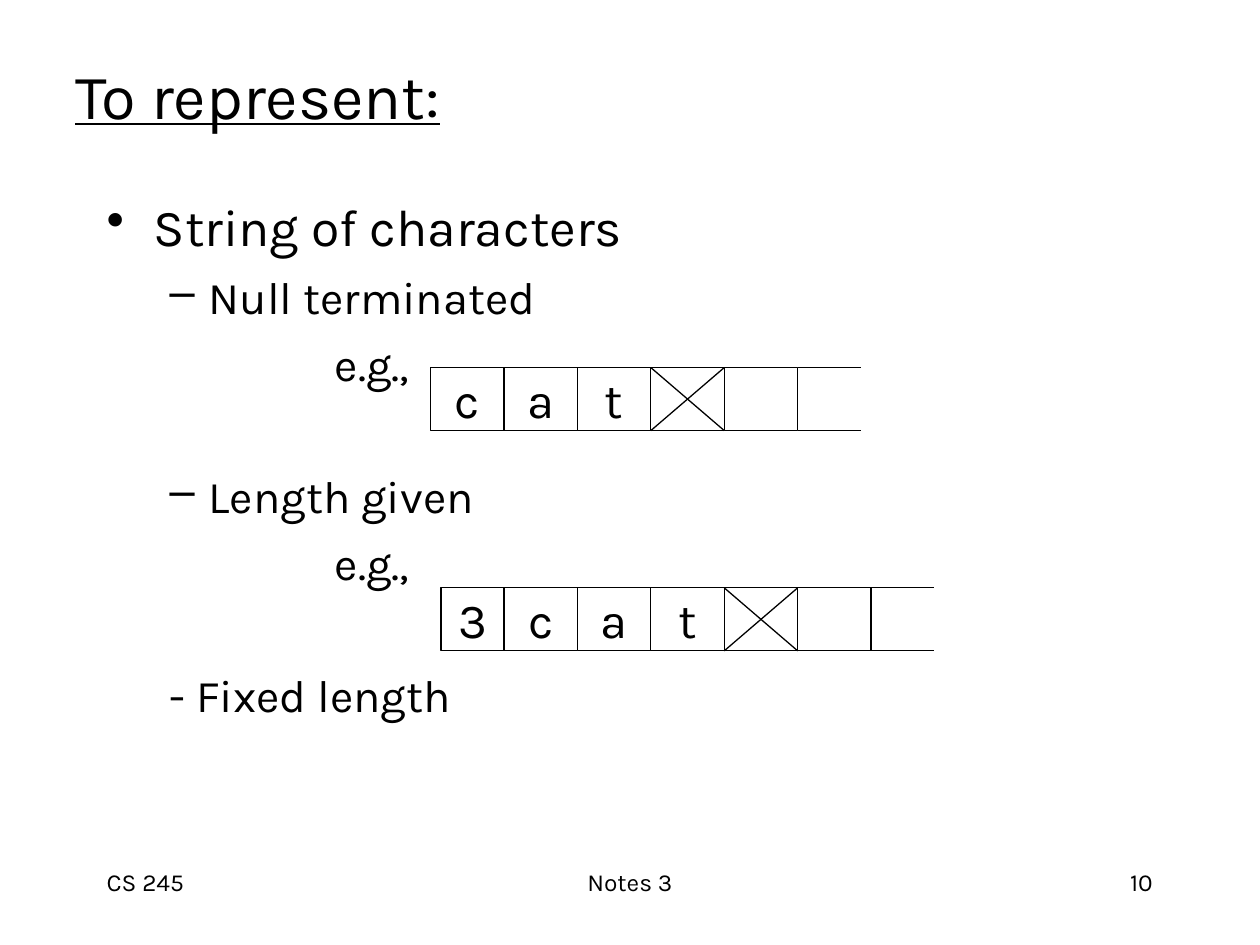
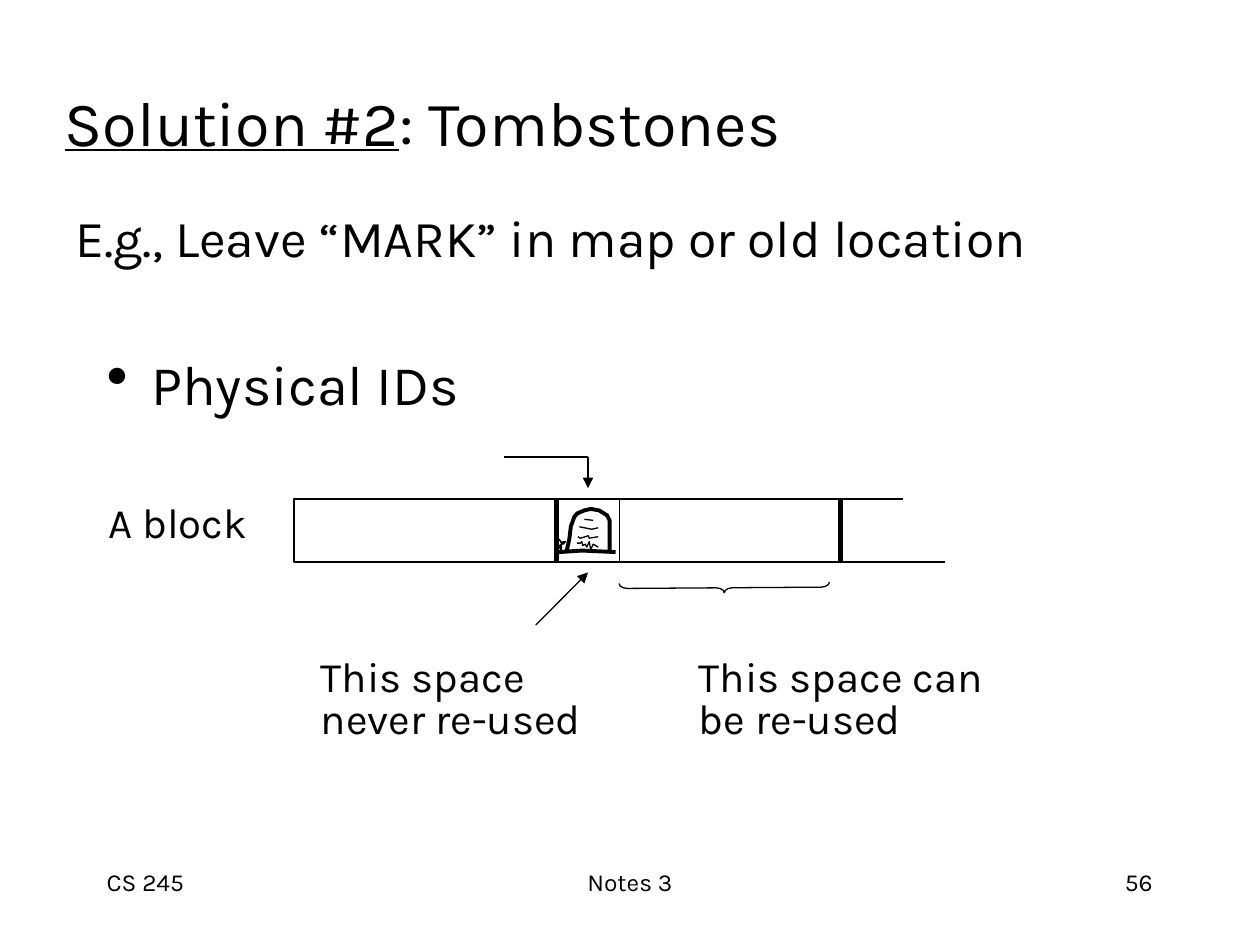
from dataclasses import dataclass

from lxml import etree
from pptx import Presentation
from pptx.dml.color import RGBColor
from pptx.enum.shapes import MSO_CONNECTOR, MSO_SHAPE
from pptx.enum.text import MSO_ANCHOR, PP_ALIGN
from pptx.oxml.ns import qn
from pptx.util import Cm, Pt

LEFT, CENTER, RIGHT = PP_ALIGN.LEFT, PP_ALIGN.CENTER, PP_ALIGN.RIGHT
TOP, MIDDLE = MSO_ANCHOR.TOP, MSO_ANCHOR.MIDDLE
STRAIGHT = MSO_CONNECTOR.STRAIGHT
RECTANGLE, BRACE = MSO_SHAPE.RECTANGLE, MSO_SHAPE.RIGHT_BRACE

FONT = "Karla"
INK = "000000"
PAPER = "FFFFFF"
THIN, BOLD, THICK = 0.75, 2.25, 3
TITLE_SIZE, BODY_SIZE, SUB_SIZE = 36, 29.6, 25.9
CELL_SIZE, NOTE_SIZE, FOOTER_SIZE = 28, 24, 14
CELL_WIDTH, CELL_HEIGHT, SHORT_WIDTH = 1.48, 1.27, 1.27

Point = tuple[float, float]


@dataclass(frozen=True)
class Line:
    text: str
    size: float
    align: PP_ALIGN = LEFT
    bullet: str = ""
    bullet_percent: int = 100
    margin: float = 0
    indent: float = 0
    before: float = 0
    spacing: float = 0
    underlined: str = ""


@dataclass(frozen=True)
class Cell:
    label: str = ""
    width: float = CELL_WIDTH
    crossed: bool = False


@dataclass(frozen=True)
class Stroke:
    points: list[Point]
    weight: float = THIN


CAT = [Cell("c"), Cell("a"), Cell("t"), Cell(crossed=True), Cell()]

STRING_LINES = [
    Line("String of characters", BODY_SIZE, bullet="•", margin=0.95, indent=-0.95),
    Line("Null terminated", SUB_SIZE, bullet="–", margin=2.06, indent=-0.79, before=7),
    Line("e.g.,", SUB_SIZE, margin=4.6, before=7),
    Line("Length given", SUB_SIZE, bullet="–", margin=2.06, indent=-0.79, before=44.5),
    Line("e.g.,", SUB_SIZE, margin=4.6, before=7),
    Line("- Fixed length", SUB_SIZE, margin=1.27, before=44.5),
]

TOMBSTONE = [
    Stroke([(0.05, 1.07), (0.51, 1.04), (1.19, 1.07)], BOLD),
    Stroke([(0.2, 1.07), (0.26, 0.8), (0.29, 0.55), (0.36, 0.36), (0.42, 0.29),
            (0.56, 0.23), (0.69, 0.2), (0.86, 0.23), (0.97, 0.3), (1.02, 0.33),
            (1.07, 0.43), (1.07, 1.07)], BOLD),
    Stroke([(0.56, 0.41), (0.74, 0.43)]),
    Stroke([(0.46, 0.56), (0.56, 0.58), (0.71, 0.61), (0.84, 0.58)]),
    Stroke([(0.43, 0.76), (0.48, 0.79), (0.58, 0.76), (0.64, 0.74), (0.66, 0.79),
            (0.84, 0.76)]),
    Stroke([(0.41, 0.89), (0.48, 0.89), (0.51, 0.86), (0.53, 0.94), (0.58, 0.91),
            (0.61, 0.97), (0.66, 0.86), (0.69, 1.02), (0.74, 0.91), (0.84, 0.97)]),
    Stroke([(0.1, 1.07), (0.03, 0.89), (0.05, 0.97), (0.13, 0.86), (0.18, 0.86),
            (0.13, 0.91), (0.05, 0.81), (0.1, 0.89), (0.1, 1.02), (0.08, 0.94)]),
]


def color(value: str) -> RGBColor:
    return RGBColor.from_string(value)


def style_line(line, weight: float) -> None:
    line.color.rgb = color(INK)
    line.width = Pt(weight)


def add_bullet(para, line: Line) -> None:
    properties = para._p.get_or_add_pPr()
    tint = etree.SubElement(properties, qn("a:buClr"))
    etree.SubElement(tint, qn("a:srgbClr"), val=INK)
    etree.SubElement(properties, qn("a:buSzPct"), val=str(line.bullet_percent * 1000))
    etree.SubElement(properties, qn("a:buChar"), char=line.bullet)


def write_line(para, line: Line) -> None:
    properties = para._p.get_or_add_pPr()
    properties.set("marL", str(Cm(line.margin)))
    properties.set("indent", str(Cm(line.indent)))
    if line.bullet:
        add_bullet(para, line)
    para.alignment = line.align
    if line.before:
        para.space_before = Pt(line.before)
    if line.spacing:
        para.line_spacing = Pt(line.spacing)
    para.font.name = FONT
    para.font.size = Pt(line.size)
    para.font.color.rgb = color(INK)
    if line.underlined:
        span = para.add_run()
        span.text = line.underlined
        span.font.underline = True
    if line.text:
        para.add_run().text = line.text


def add_text(page, left: float, top: float, width: float, height: float,
             lines: list[Line], anchor: MSO_ANCHOR = TOP) -> None:
    box = page.shapes.add_textbox(Cm(left), Cm(top), Cm(width), Cm(height))
    frame = box.text_frame
    frame.word_wrap = True
    frame.vertical_anchor = anchor
    for index, line in enumerate(lines):
        para = frame.add_paragraph() if index else frame.paragraphs[0]
        write_line(para, line)


def add_line(page, start: Point, end: Point, weight: float = THIN,
             arrow: bool = False) -> None:
    connector = page.shapes.add_connector(
        STRAIGHT, Cm(start[0]), Cm(start[1]), Cm(end[0]), Cm(end[1]))
    style_line(connector.line, weight)
    if arrow:
        outline = connector.line._get_or_add_ln()
        etree.SubElement(outline, qn("a:tailEnd"), type="triangle")
    etree.SubElement(connector._element.spPr, qn("a:effectLst"))


def add_cell(page, left: float, top: float, cell: Cell) -> None:
    box = page.shapes.add_shape(
        RECTANGLE, Cm(left), Cm(top), Cm(cell.width), Cm(CELL_HEIGHT))
    box.shadow.inherit = False
    box.fill.solid()
    box.fill.fore_color.rgb = color(PAPER)
    style_line(box.line, THIN)
    if cell.label:
        box.text_frame.word_wrap = False
        box.text_frame.vertical_anchor = MIDDLE
        write_line(box.text_frame.paragraphs[0], Line(cell.label, CELL_SIZE, CENTER))
    if cell.crossed:
        right, bottom = left + cell.width, top + CELL_HEIGHT
        add_line(page, (left, top), (right, bottom))
        add_line(page, (right, top), (left, bottom))


def add_open_strip(page, left: float, top: float, cells: list[Cell],
                   upper_tail: float = 1.27, lower_tail: float = 1.27) -> None:
    for cell in cells:
        add_cell(page, left, top, cell)
        left += cell.width
    bottom = top + CELL_HEIGHT
    add_line(page, (left, top), (left + upper_tail, top))
    add_line(page, (left, bottom), (left + lower_tail, bottom))


def add_stroke(page, left: float, top: float, stroke: Stroke) -> None:
    points = [(Cm(left + x), Cm(top + y)) for x, y in stroke.points]
    builder = page.shapes.build_freeform(*points[0])
    builder.add_line_segments(points[1:], close=False)
    shape = builder.convert_to_shape()
    shape.shadow.inherit = False
    shape.fill.background()
    style_line(shape.line, stroke.weight)


def add_page(deck, number: int):
    page = deck.slides.add_slide(deck.slide_layouts[6])
    footers = [(1.9, 5.29, "CS 245", LEFT), (8.68, 8.04, "Notes 3", CENTER),
               (18.2, 5.29, str(number), RIGHT)]
    for left, width, text, align in footers:
        add_text(page, left, 17.36, width, 1.27, [Line(text, FOOTER_SIZE, align)])
    return page


def build_strings(deck) -> None:
    page = add_page(deck, 10)
    add_text(page, 1.9, 3.81, 21.59, 11.43, STRING_LINES)
    add_open_strip(page, 8.68, 7.41, CAT)
    add_open_strip(page, 8.89, 11.85, [Cell("3", SHORT_WIDTH), *CAT])
    add_text(page, 1.27, 0.85, 21.59, 2.12,
             [Line("", TITLE_SIZE, underlined="To represent:")], MIDDLE)


def build_tombstones(deck) -> None:
    page = add_page(deck, 56)
    add_text(page, 1.27, 4.02, 21.59, 1.69,
             [Line("E.g., Leave “MARK” in map or old location", BODY_SIZE)])
    add_text(page, 1.06, 0.85, 21.59, 3.18,
             [Line(": Tombstones", TITLE_SIZE, underlined="Solution #2")], MIDDLE)
    add_text(page, 1.9, 6.67, 8.68, 2.12,
             [Line("Physical IDs", 32, bullet="•", bullet_percent=112,
                   margin=0.9, indent=-0.9)], MIDDLE)
    add_text(page, 1.93, 9.88, 3.6, 1.4, [Line("A block", NOTE_SIZE)])
    for left, note in [(6.22, "This space never re-used"),
                       (13.84, "This space can be re-used")]:
        add_text(page, left, 13.16, 6.6, 2, [Line(note, NOTE_SIZE, spacing=24)])

    block_left, block_top = 5.93, 10.06
    before, marker, after = Cell(width=5.29), Cell(width=SHORT_WIDTH), Cell(width=4.45)
    add_open_strip(page, block_left, block_top, [before, marker, after],
                   lower_tail=2.12)
    marker_left = block_left + before.width
    for stroke in TOMBSTONE:
        add_stroke(page, marker_left, block_top, stroke)
    for x in (marker_left, marker_left + marker.width + after.width):
        add_line(page, (x, block_top), (x, block_top + CELL_HEIGHT), THICK)

    pointer = marker_left + marker.width / 2
    add_line(page, (pointer, 9.21), (10.16, 9.21))
    add_line(page, (pointer, 9.21), (pointer, 9.84), arrow=True)
    add_line(page, (10.8, 12.6), (pointer, 11.54), arrow=True)

    brace = page.shapes.add_shape(BRACE, Cm(14.5), Cm(9.73), Cm(0.2), Cm(4.24))
    brace.adjustments[0] = 0.83
    brace.rotation = 89.6
    brace.shadow.inherit = False
    brace.fill.background()
    style_line(brace.line, THIN)


def main() -> None:
    deck = Presentation()
    deck.slide_width, deck.slide_height = Cm(25.4), Cm(19.05)
    build_strings(deck)
    build_tombstones(deck)
    deck.save("out.pptx")


if __name__ == "__main__":
    main()
